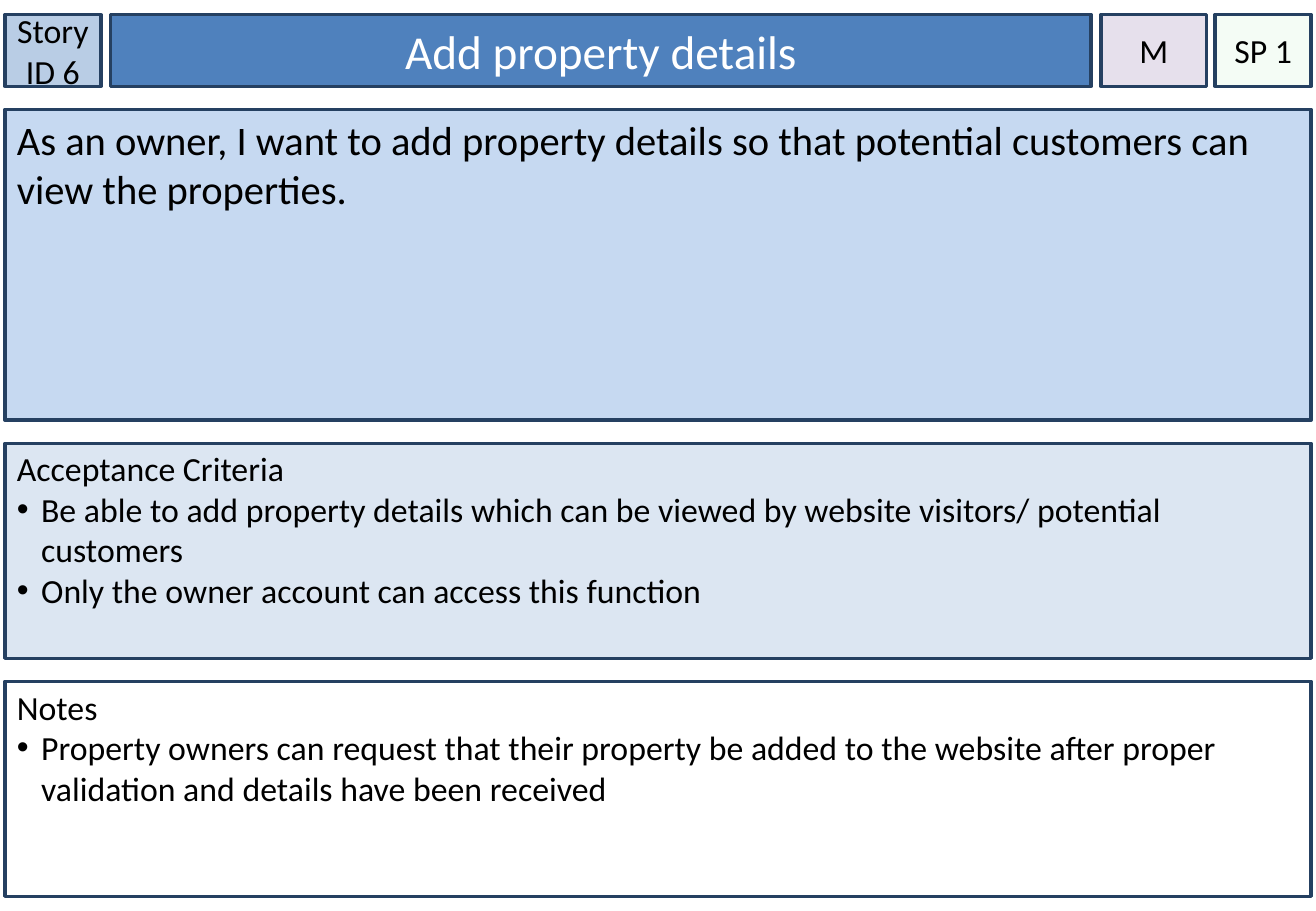
"""Build a user story card for adding property details."""
from lxml.etree import SubElement
from pptx import Presentation
from pptx.dml.color import RGBColor
from pptx.enum.shapes import MSO_SHAPE
from pptx.enum.text import MSO_ANCHOR, PP_ALIGN
from pptx.oxml.ns import qn
from pptx.util import Inches, Pt

NAVY = RGBColor(0x25, 0x40, 0x61)
BLACK = RGBColor(0x00, 0x00, 0x00)
WHITE = RGBColor(0xFF, 0xFF, 0xFF)
STEEL = RGBColor(0xB9, 0xCD, 0xE5)
BLUE = RGBColor(0x4F, 0x81, 0xBD)
LILAC = RGBColor(0xE6, 0xE0, 0xEC)
GREEN = RGBColor(0xCC, 0xF0, 0xCD)
SKY = RGBColor(0xC6, 0xD9, 0xF1)
PALE = RGBColor(0xDC, 0xE6, 0xF2)

card = Presentation()
card.slide_width, card.slide_height = Inches(10.83), Inches(7.5)
slide = card.slides.add_slide(card.slide_layouts[6])


def add_box(left, top, width, height, fill, side_inset, top_inset, anchor):
    box = slide.shapes.add_shape(
        MSO_SHAPE.RECTANGLE, Inches(left), Inches(top), Inches(width), Inches(height))
    box.shadow.inherit = False
    box.fill.solid()
    box.fill.fore_color.rgb = fill
    box.line.color.rgb = NAVY
    box.line.width = Pt(2)
    frame = box.text_frame
    frame.word_wrap = True
    frame.vertical_anchor = anchor
    frame.margin_left = frame.margin_right = Inches(side_inset)
    frame.margin_top, frame.margin_bottom = Inches(top_inset), Inches(0.05)
    return box


def add_text(paragraph, text, size, color, align):
    paragraph.alignment = align
    run = paragraph.add_run()
    run.text = text
    run.font.name = "Calibri"
    run.font.size = Pt(size)
    run.font.color.rgb = color


header = [
    ("Story ID 6", 0.04, 0.79, STEEL, 0, 20, BLACK),
    ("Add property details", 0.91, 8.07, BLUE, 0.1, 28, WHITE),
    ("M", 9.06, 0.87, LILAC, 0, 20, BLACK),
    ("SP 1", 10, 0.79, GREEN, 0, 20, BLACK),
]
for text, left, width, fill, inset, size, color in header:
    cell = add_box(left, 0.12, width, 0.59, fill, inset, 0.05, MSO_ANCHOR.MIDDLE)
    add_text(cell.text_frame.paragraphs[0], text, size, color, PP_ALIGN.CENTER)
    if fill == GREEN:
        tint = cell.fill._xPr.find(qn("a:solidFill"))[0]
        SubElement(tint, qn("a:alpha"), val="20000")

sections = [
    (2.56, SKY, 0.05, 24,
     "As an owner, I want to add property details so that potential customers "
     "can view the properties.", []),
    (1.77, PALE, 0.04, 20, "Acceptance Criteria", [
        "Be able to add property details which can be viewed by website visitors/ "
        "potential customers",
        "Only the owner account can access this function"]),
    (1.77, WHITE, 0.04, 20, "Notes", [
        "Property owners can request that their property be added to the website "
        "after proper validation and details have been received"]),
]
top = 0.9
for height, fill, inset, size, lead, points in sections:
    frame = add_box(0.04, top, 10.75, height, fill, 0.1, inset, MSO_ANCHOR.TOP).text_frame
    add_text(frame.paragraphs[0], lead, size, BLACK, PP_ALIGN.LEFT)
    for point in points:
        paragraph = frame.add_paragraph()
        add_text(paragraph, point, size, BLACK, PP_ALIGN.LEFT)
        properties = paragraph._p.get_or_add_pPr()
        properties.set("marL", str(Inches(0.2)))
        properties.set("indent", str(-Inches(0.2)))
        SubElement(properties, qn("a:buFont"), typeface="Arial")
        SubElement(properties, qn("a:buChar"), char="•")
    top += height + 0.19

card.save("out.pptx")
